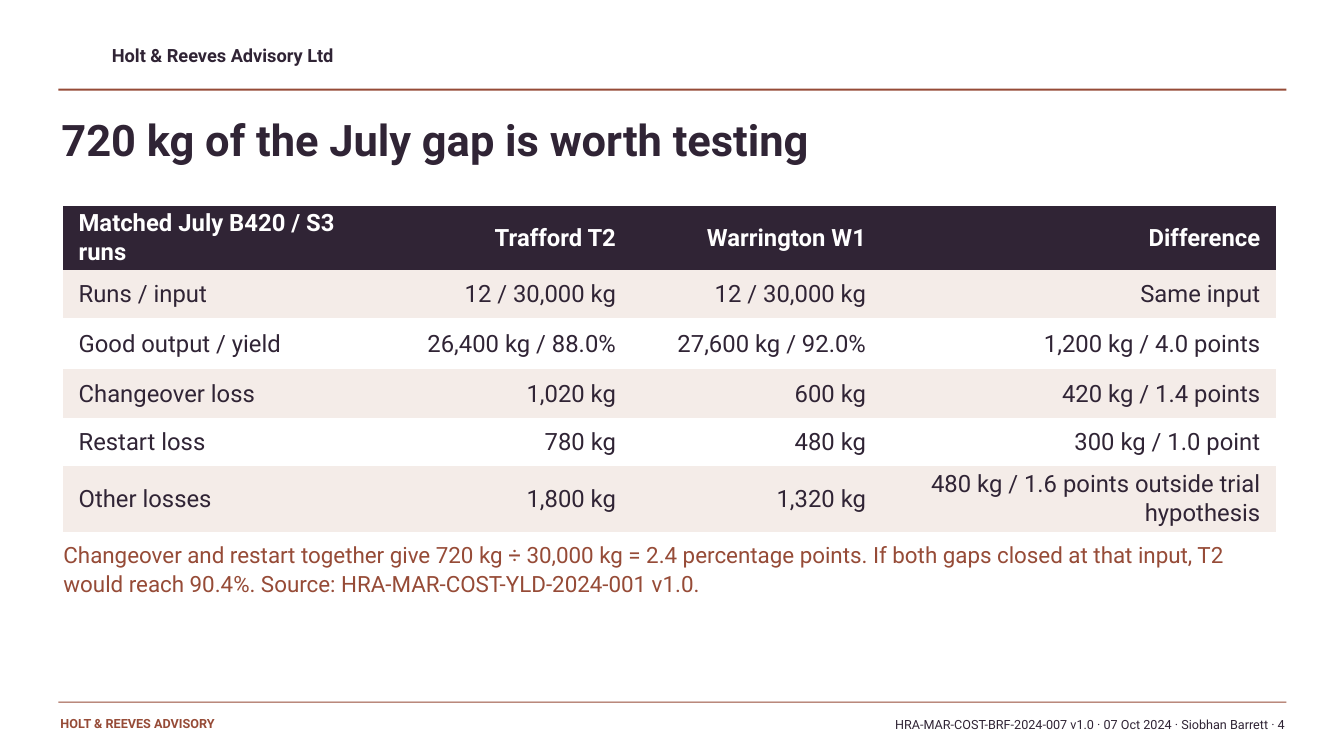
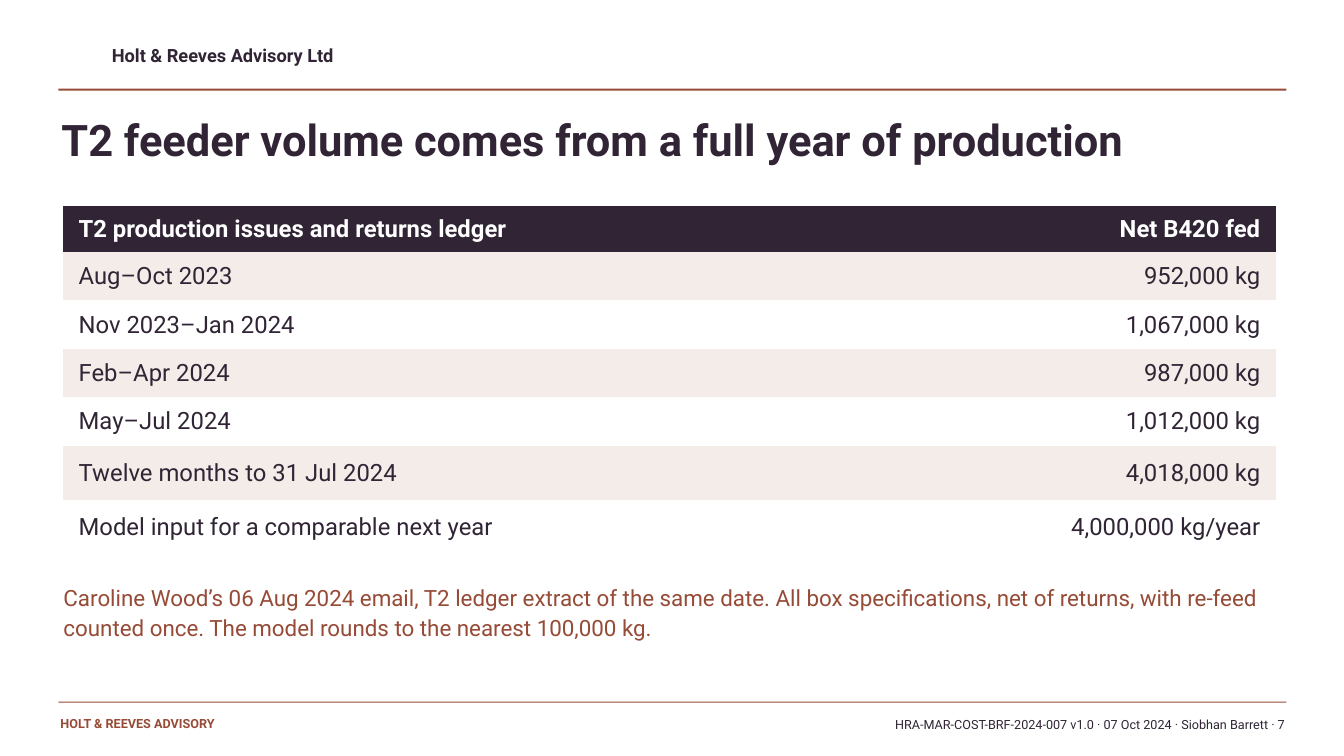
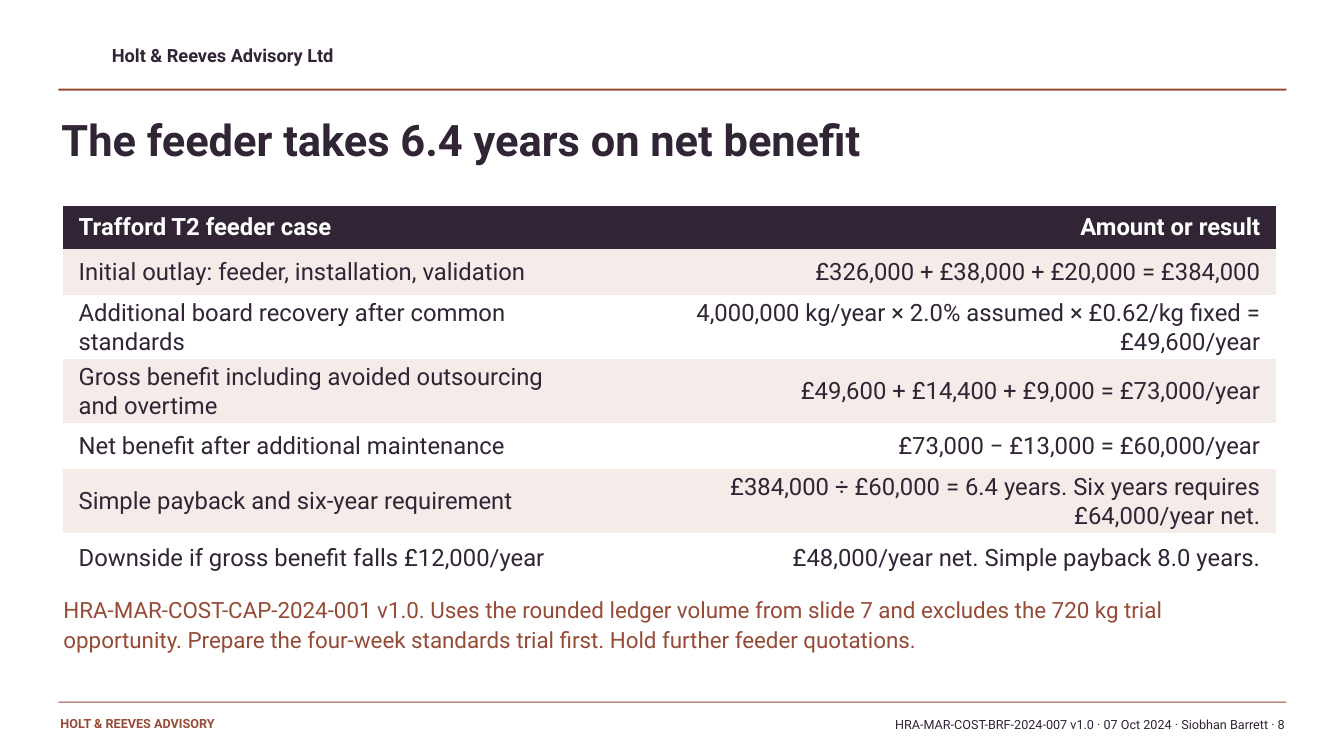
from pptx import Presentation
from pptx.dml.color import RGBColor
from pptx.enum.shapes import MSO_SHAPE
from pptx.enum.text import MSO_ANCHOR, MSO_AUTO_SIZE, PP_ALIGN
from pptx.util import Inches, Pt

LEFT, RIGHT = PP_ALIGN.LEFT, PP_ALIGN.RIGHT
TOP, MIDDLE = MSO_ANCHOR.TOP, MSO_ANCHOR.MIDDLE
NO_AUTOFIT = MSO_AUTO_SIZE.NONE
RECT = MSO_SHAPE.RECTANGLE

FONT = "Roboto"
PLUM, RUST, BLUSH, WHITE = "302435", "964B37", "F4ECE8", "FFFFFF"
PLAIN_TABLE = "{2D5ABB26-0587-4C30-8999-92F81FD0307C}"
REFERENCE = "HRA-MAR-COST-BRF-2024-007 v1.0 · 07 Oct 2024 · Siobhan Barrett"

SLIDES = [
    {
        "title": "720 kg of the July gap is worth testing",
        "number": 4,
        "columns": [3.17, 2.48, 2.48, 3.91],
        "heights": [0.45, 0.48, 0.51, 0.48, 0.48, 0.65],
        "rows": [
            ["Matched July B420 / S3 runs", "Trafford T2", "Warrington W1", "Difference"],
            ["Runs / input", "12 / 30,000 kg", "12 / 30,000 kg", "Same input"],
            ["Good output / yield", "26,400 kg / 88.0%", "27,600 kg / 92.0%",
             "1,200 kg / 4.0 points"],
            ["Changeover loss", "1,020 kg", "600 kg", "420 kg / 1.4 points"],
            ["Restart loss", "780 kg", "480 kg", "300 kg / 1.0 point"],
            ["Other losses", "1,800 kg", "1,320 kg",
             "480 kg / 1.6 points outside trial hypothesis"],
        ],
        "note_top": 5.34,
        "note": "Changeover and restart together give 720 kg ÷ 30,000 kg = 2.4 percentage points. "
                "If both gaps closed at that input, T2 would reach 90.4%. "
                "Source: HRA-MAR-COST-YLD-2024-001 v1.0.",
    },
    {
        "title": "T2 feeder volume comes from a full year of production",
        "number": 7,
        "columns": [7.54, 4.5],
        "heights": [0.46, 0.48, 0.48, 0.48, 0.48, 0.54, 0.54],
        "rows": [
            ["T2 production issues and returns ledger", "Net B420 fed"],
            ["Aug–Oct 2023", "952,000 kg"],
            ["Nov 2023–Jan 2024", "1,067,000 kg"],
            ["Feb–Apr 2024", "987,000 kg"],
            ["May–Jul 2024", "1,012,000 kg"],
            ["Twelve months to 31 Jul 2024", "4,018,000 kg"],
            ["Model input for a comparable next year", "4,000,000 kg/year"],
        ],
        "note_top": 5.77,
        "note": "Caroline Wood’s 06 Aug 2024 email, T2 ledger extract of the same date. "
                "All box specifications, net of returns, with re-feed counted once. "
                "The model rounds to the nearest 100,000 kg.",
    },
    {
        "title": "The feeder takes 6.4 years on net benefit",
        "number": 8,
        "columns": [5.15, 6.89],
        "heights": [0.43, 0.46, 0.63, 0.54, 0.46, 0.63, 0.49],
        "rows": [
            ["Trafford T2 feeder case", "Amount or result"],
            ["Initial outlay: feeder, installation, validation",
             "£326,000 + £38,000 + £20,000 = £384,000"],
            ["Additional board recovery after common standards",
             "4,000,000 kg/year × 2.0% assumed × £0.62/kg fixed = £49,600/year"],
            ["Gross benefit including avoided outsourcing and overtime",
             "£49,600 + £14,400 + £9,000 = £73,000/year"],
            ["Net benefit after additional maintenance", "£73,000 − £13,000 = £60,000/year"],
            ["Simple payback and six-year requirement",
             "£384,000 ÷ £60,000 = 6.4 years. Six years requires £64,000/year net."],
            ["Downside if gross benefit falls £12,000/year",
             "£48,000/year net. Simple payback 8.0 years."],
        ],
        "note_top": 5.89,
        "note": "HRA-MAR-COST-CAP-2024-001 v1.0. Uses the rounded ledger volume from slide 7 "
                "and excludes the 720 kg trial opportunity. "
                "Prepare the four-week standards trial first. Hold further feeder quotations.",
    },
]


def rgb(color):
    return RGBColor.from_string(color)


def write(tf, text, size, color=PLUM, bold=False, align=LEFT, spacing=1.1):
    p = tf.paragraphs[0]
    p.alignment = align
    p.line_spacing = spacing
    r = p.add_run()
    r.text = text
    r.font.name = FONT
    r.font.size = Pt(size)
    r.font.bold = bold
    r.font.color.rgb = rgb(color)


def fit_frame(tf):
    tf.margin_left = tf.margin_right = tf.margin_top = tf.margin_bottom = 0
    tf.word_wrap = True
    tf.auto_size = NO_AUTOFIT
    tf.vertical_anchor = TOP


def add_text(s, box, text, size, **style):
    tf = s.shapes.add_textbox(*map(Inches, box)).text_frame
    fit_frame(tf)
    write(tf, text, size, **style)


def add_rule(s, box):
    sp = s.shapes.add_shape(RECT, *map(Inches, box))
    sp.shadow.inherit = False
    sp.fill.solid()
    sp.fill.fore_color.rgb = rgb(RUST)
    sp.line.fill.background()


def add_frame(s, number):
    add_text(s, (1.11, 0.44, 6, 0.27), "Holt & Reeves Advisory Ltd", 13, bold=True, spacing=1.0)
    for top, height in ((0.88, 0.02), (6.96, 0.01)):
        add_rule(s, (0.58, top, 12.18, height))
    add_text(s, (0.6, 7.1, 3.4, 0.25), "HOLT & REEVES ADVISORY", 9,
             color=RUST, bold=True, spacing=1.0)
    add_text(s, (4.12, 7.1, 8.62, 0.22), f"{REFERENCE} · {number}", 9, align=RIGHT)


def set_title(s, text):
    title = s.shapes.title
    title.left, title.top, title.width, title.height = map(Inches, (0.61, 1.07, 12, 0.78))
    fit_frame(title.text_frame)
    write(title.text_frame, text, 31, bold=True)


def add_ledger(s, rows, columns, heights):
    box = (0.62, 2.04, sum(columns), sum(heights))
    frame = s.shapes.add_table(len(rows), len(columns), *map(Inches, box))
    frame.element.xpath(".//a:tableStyleId")[0].text = PLAIN_TABLE
    table = frame.table
    for column, width in zip(table.columns, columns):
        column.width = Inches(width)
    for i, (row, height, texts) in enumerate(zip(table.rows, heights, rows)):
        row.height = Inches(height)
        header = i == 0
        fill = PLUM if header else BLUSH if i % 2 else WHITE
        for j, (cell, text) in enumerate(zip(row.cells, texts)):
            cell.fill.solid()
            cell.fill.fore_color.rgb = rgb(fill)
            cell.vertical_anchor = MIDDLE
            cell.margin_left = cell.margin_right = Inches(0.16)
            cell.margin_top = cell.margin_bottom = Inches(0.03)
            write(cell.text_frame, text, 17, color=WHITE if header else PLUM, bold=header,
                  align=RIGHT if j else LEFT, spacing=1.03)


def main():
    prs = Presentation()
    prs.slide_width, prs.slide_height = Inches(13.33), Inches(7.5)
    for content in SLIDES:
        s = prs.slides.add_slide(prs.slide_layouts[5])
        add_frame(s, content["number"])
        set_title(s, content["title"])
        add_ledger(s, content["rows"], content["columns"], content["heights"])
        add_text(s, (0.63, content["note_top"], 11.96, 0.82), content["note"], 16, color=RUST)
    prs.save("out.pptx")


if __name__ == "__main__":
    main()
